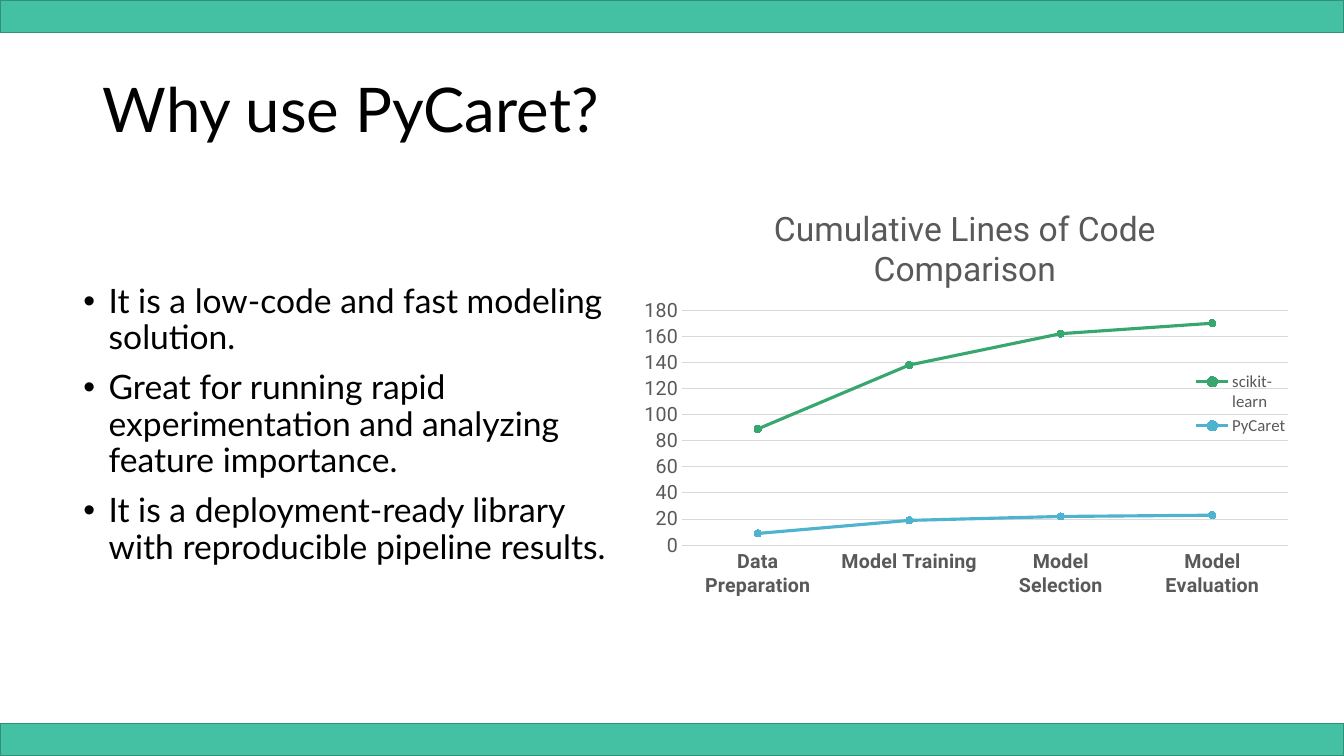
from lxml import etree
from pptx import Presentation
from pptx.chart.data import CategoryChartData
from pptx.dml.color import RGBColor
from pptx.enum.chart import (XL_CHART_TYPE as ChartType, XL_LEGEND_POSITION as LegendPosition,
                             XL_MARKER_STYLE as MarkerStyle, XL_TICK_MARK as TickMark)
from pptx.enum.shapes import MSO_SHAPE as Shape
from pptx.enum.text import MSO_ANCHOR as Anchor
from pptx.oxml.ns import qn
from pptx.util import Inches, Pt

COLORS = {"band": "44C1A3", "band_line": "328F79", "text": "000000", "muted": "595959",
          "grid": "D9D9D9", "scikit-learn": "37A76F", "PyCaret": "4EB3CF"}

REASONS = ["It is a low-code and fast modeling solution.",
           "Great for running rapid experimentation and analyzing feature importance.",
           "It is a deployment-ready library with reproducible pipeline results."]
STAGES = ["Data Preparation", "Model Training", "Model Selection", "Model Evaluation"]
LINES_OF_CODE = {"scikit-learn": [89, 138, 162, 170], "PyCaret": [9, 19, 22, 23]}
BAND_HEIGHT = 0.32


def color(name):
    return RGBColor.from_string(COLORS[name])


def style_font(font, color_name, **values):
    for name, value in values.items():
        setattr(font, name, value)
    font.color.rgb = color(color_name)


def style_line(line, color_name, width):
    line.color.rgb = color(color_name)
    line.width = Pt(width)


def add_band(slide, top, width):
    band = slide.shapes.add_shape(Shape.RECTANGLE, 0, top, width, Inches(BAND_HEIGHT))
    band.shadow.inherit = False
    band.fill.solid()
    band.fill.fore_color.rgb = color("band")
    style_line(band.line, "band_line", 1)


def add_bullet(paragraph):
    properties = paragraph._p.get_or_add_pPr()
    properties.set("marL", str(Inches(0.25)))
    properties.set("indent", str(-Inches(0.25)))
    etree.SubElement(properties, qn("a:buFont"), typeface="Arial")
    etree.SubElement(properties, qn("a:buChar"), char="•")


def add_text(slide, box, lines, size, bulleted=False):
    frame = slide.shapes.add_textbox(*map(Inches, box)).text_frame
    frame.word_wrap = True
    frame.vertical_anchor = Anchor.MIDDLE
    for index, line in enumerate(lines):
        paragraph = frame.add_paragraph() if index else frame.paragraphs[0]
        if bulleted:
            add_bullet(paragraph)
        paragraph.line_spacing = 0.9
        paragraph.space_before = Pt(10 if index else 0)
        run = paragraph.add_run()
        run.text = line
        style_font(run.font, "text", name="Lato", size=Pt(size))


def set_layout(element, x, y, w, h, inner=False):
    """Place a chart part by fractions of the chart's size."""
    for old in element.findall(qn("c:layout")):
        element.remove(old)
    layout = etree.Element(qn("c:layout"))
    manual = etree.SubElement(layout, qn("c:manualLayout"))
    settings = {"layoutTarget": "inner"} if inner else {}
    settings.update(xMode="edge", yMode="edge", x=x, y=y, w=w, h=h)
    for tag, value in settings.items():
        etree.SubElement(manual, qn(f"c:{tag}"), val=str(value))
    position = element.find(qn("c:legendPos"))
    if position is None:
        element.insert(0, layout)
    else:
        position.addnext(layout)


def style_axis(axis, bold):
    axis.major_tick_mark = axis.minor_tick_mark = TickMark.NONE
    style_font(axis.tick_labels.font, "muted", name="Roboto", size=Pt(14), bold=bold)


def add_line_chart(slide, box):
    data = CategoryChartData()
    data.categories = STAGES
    for name, values in LINES_OF_CODE.items():
        data.add_series(name, values)
    chart = slide.shapes.add_chart(ChartType.LINE_MARKERS, *map(Inches, box), data).chart
    style_font(chart.font, "text", name="Calibri", size=Pt(10))

    # Title
    chart.has_title = True
    title = chart.chart_title.text_frame.paragraphs[0].add_run()
    title.text = "Cumulative Lines of Code Comparison"
    style_font(title.font, "muted", name="Roboto", size=Pt(24), bold=False)

    # Axes
    style_axis(chart.category_axis, True)
    style_line(chart.category_axis.format.line, "grid", 0.75)
    value_axis = chart.value_axis
    style_axis(value_axis, False)
    value_axis.format.line.fill.background()
    for name, value in {"minimum_scale": 0, "maximum_scale": 180, "major_unit": 20}.items():
        setattr(value_axis, name, value)
    style_line(value_axis.major_gridlines.format.line, "grid", 0.75)

    # Series
    for series in chart.plots[0].series:
        series.smooth = False
        style_line(series.format.line, series.name, 2.25)
        marker = series.marker
        marker.style = MarkerStyle.CIRCLE
        marker.size = 5
        marker.format.fill.solid()
        marker.format.fill.fore_color.rgb = color(series.name)
        style_line(marker.format.line, series.name, 0.75)
    chart.plots[0].vary_by_categories = False

    # Legend over the plot, at its right edge
    chart.has_legend = True
    legend = chart.legend
    legend.position = LegendPosition.BOTTOM
    legend.include_in_layout = False
    style_font(legend.font, "muted", name="Calibri", size=Pt(12))
    set_layout(legend._element, 0.84, 0.38, 0.14, 0.15)
    plot_area = chart._chartSpace.find(f".//{qn('c:plotArea')}")
    set_layout(plot_area, 0.08, 0.26, 0.9, 0.49, inner=True)


def main():
    presentation = Presentation()
    presentation.slide_width = Inches(13.33)
    presentation.slide_height = Inches(7.5)
    slide = presentation.slides.add_slide(presentation.slide_layouts[6])

    # Title and reasons
    add_text(slide, (0.92, 0.39, 11.5, 1.45), ["Why use PyCaret?"], 44)
    add_text(slide, (0.73, 2.35, 5.67, 3.74), REASONS, 24, bulleted=True)

    # Bands along the top and bottom edges
    for top in (0, presentation.slide_height - Inches(BAND_HEIGHT)):
        add_band(slide, top, presentation.slide_width)

    # Lines of code by stage
    add_line_chart(slide, (6.23, 1.84, 6.68, 4.76))
    presentation.save("out.pptx")


if __name__ == "__main__":
    main()
